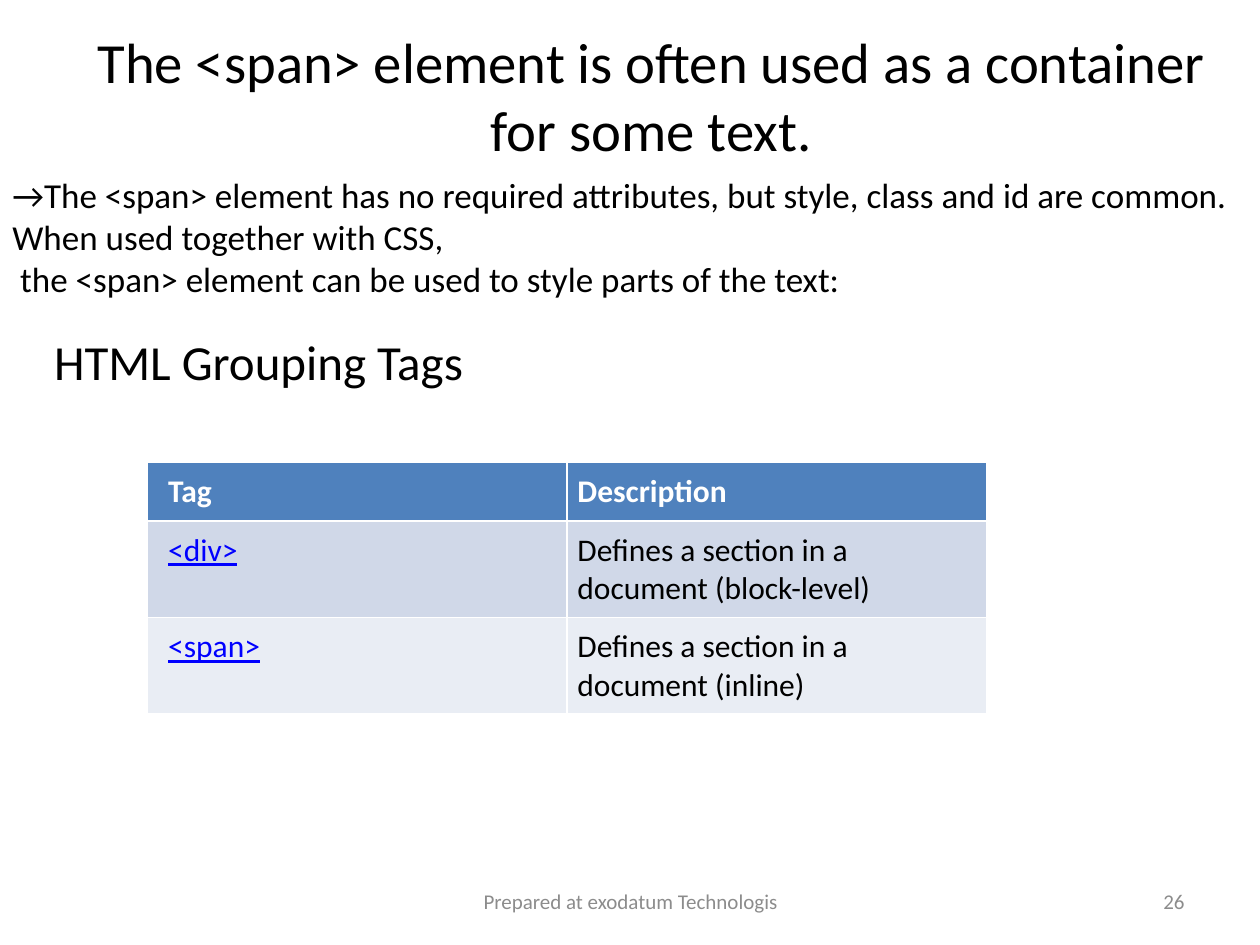
from pptx import Presentation
from pptx.dml.color import RGBColor
from pptx.enum.text import MSO_ANCHOR, PP_ALIGN
from pptx.util import Cm, Pt

LEFT, CENTER, RIGHT = PP_ALIGN.LEFT, PP_ALIGN.CENTER, PP_ALIGN.RIGHT
TOP, MIDDLE = MSO_ANCHOR.TOP, MSO_ANCHOR.MIDDLE
COLORS = {"text": "000000", "footer": "8C8C8C", "link": "0000FF", "white": "FFFFFF",
          "header": "4F81BD", "band_dark": "D0D8E8", "band_light": "E9EDF4"}


def style(p, size, color, **formats):
    formats = {"name": "Calibri", "size": Pt(size), **formats}
    for r in p.runs:
        for key, value in formats.items():
            setattr(r.font, key, value)
        r.font.color.rgb = RGBColor.from_string(COLORS[color])


prs = Presentation()
prs.slide_width, prs.slide_height = Cm(25.4), Cm(19.05)
s = prs.slides.add_slide(prs.slide_layouts[6])

# Text boxes: position in cm, text, size, colour, alignment, anchor
boxes = [
    ((1.7, 0.32, 22.86, 3.18), "The <span> element is often used as a container for some text.",
     32.4, "text", CENTER, MIDDLE),
    ((0, 3.38, 25.4, 2.82),
     "→The <span> element has no required attributes, but style, class and id are common.\v"
     "When used together with CSS,\n"
     " the <span> element can be used to style parts of the text:",
     20, "text", LEFT, TOP),
    ((0.84, 6.55, 8.84, 3), "HTML Grouping Tags", 28, "text", LEFT, TOP),
    ((18.21, 17.65, 5.92, 1.02), "26", 12, "footer", RIGHT, MIDDLE),
    ((8.69, 17.65, 8.05, 1.02), "Prepared at exodatum Technologis", 12, "footer", CENTER, MIDDLE),
]
for position, text, size, color, align, anchor in boxes:
    tf = s.shapes.add_textbox(*[Cm(v) for v in position]).text_frame
    tf.word_wrap = True
    tf.vertical_anchor = anchor
    tf.text = text
    for p in tf.paragraphs:
        p.alignment = align
        style(p, size, color)

# Tag table: the default style supplies the white cell borders
rows = [
    ("Tag", "Description", "header", 1.17),
    ("<div>", "Defines a section in a document (block-level)", "band_dark", 1.94),
    ("<span>", "Defines a section in a document (inline)", "band_light", 1.94),
]
table = s.shapes.add_table(len(rows), 2, Cm(2.97), Cm(9.32), Cm(16.92), Cm(5.05)).table
for i, (tag, description, fill, height) in enumerate(rows):
    table.rows[i].height = Cm(height)
    for j, text in enumerate((tag, description)):
        cell = table.cell(i, j)
        cell.text = text
        cell.fill.solid()
        cell.fill.fore_color.rgb = RGBColor.from_string(COLORS[fill])
        cell.margin_left = Cm(0.21 if j else 0.42)
        cell.margin_top = cell.margin_right = cell.margin_bottom = Cm(0.21)
        is_link = i > 0 and j == 0
        color = "white" if i == 0 else "link" if is_link else "text"
        style(cell.text_frame.paragraphs[0], 18, color, bold=i == 0, underline=is_link)

prs.save("out.pptx")
